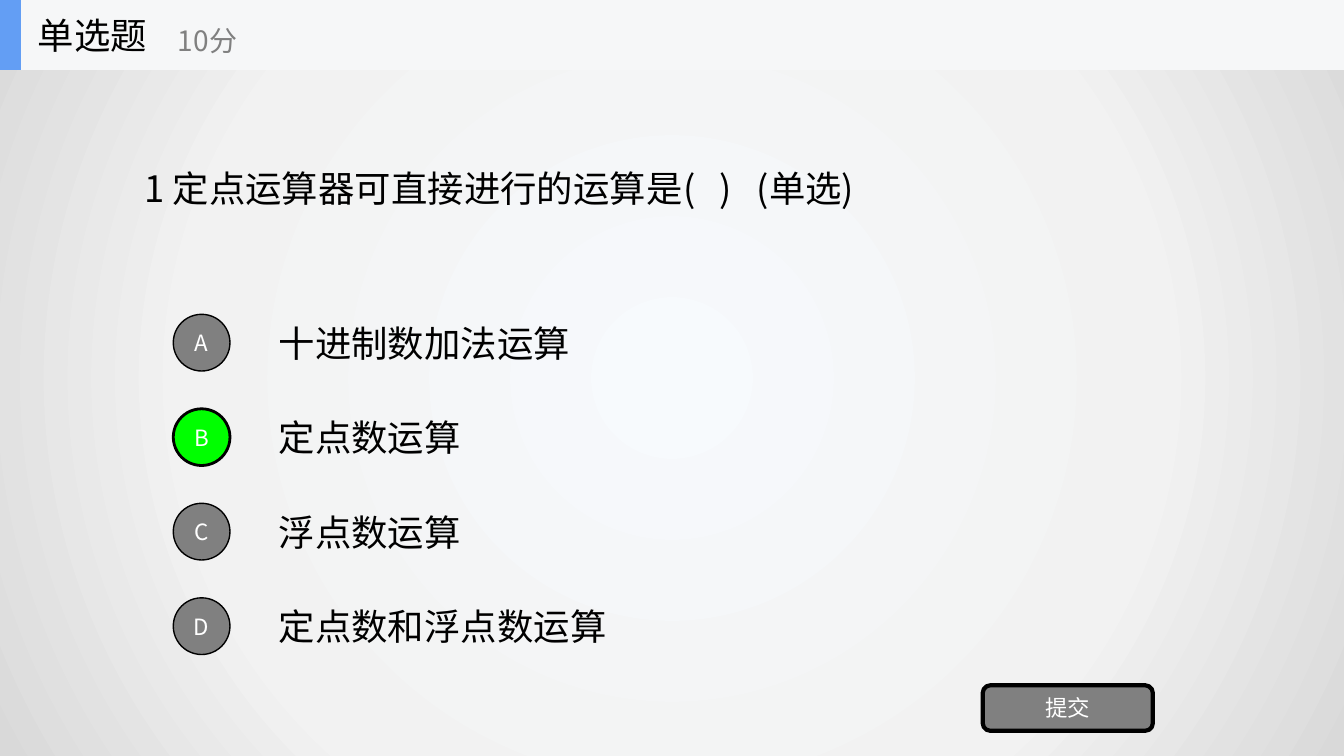
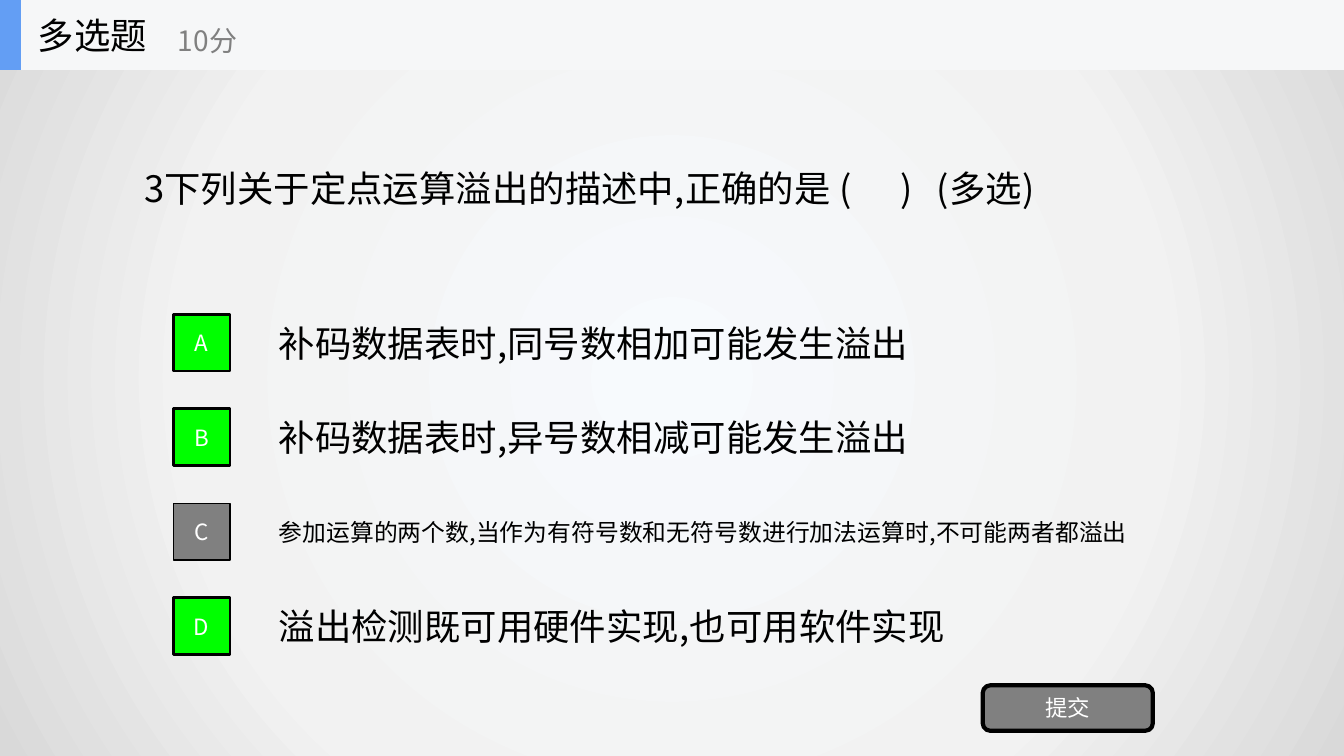
from dataclasses import dataclass
from typing import Any, Optional

import pptx
import pptx.dml.color
import pptx.enum.shapes
import pptx.enum.text
import pptx.oxml
import pptx.oxml.ns
import pptx.util

Pt = pptx.util.Pt
Shapes = pptx.enum.shapes.MSO_SHAPE
Align = pptx.enum.text.PP_ALIGN
AutoSize = pptx.enum.text.MSO_AUTO_SIZE


# Theme
@dataclass(frozen=True)
class Theme:
    font: str = "Noto Sans CJK SC"
    ink: str = "000000"
    muted: str = "808080"
    correct: str = "00FF00"
    on_fill: str = "FFFFFF"
    band: str = "F6F7F8"
    accent: str = "639EF4"
    backdrop: tuple = ((0, "F7FAFD"), (63, "F2F2F2"), (100, "D9D9D9"))
    body_size: float = 26
    small_size: float = 17
    points_size: float = 20
    label_size: float = 16


THEME = Theme()
SLIDE_WIDTH, SLIDE_HEIGHT = 960, 540
BAND_HEIGHT = 50
OPTION_CENTRE, OPTION_PITCH = 244.75, 67.5
MARKER_LEFT, MARKER_SIZE = 123.75, 40.5
ANSWER_LEFT = 192


# Content
@dataclass(frozen=True)
class Option:
    text: str
    width: float
    correct: bool = False
    size: float = THEME.body_size


@dataclass(frozen=True)
class Question:
    kind: str
    stem: str
    stem_width: float
    marker: Any
    options: tuple[Option, ...]


QUESTIONS = (
    Question("单选题", "1 定点运算器可直接进行的运算是(   )   (单选)", 542, Shapes.OVAL, (
        Option("十进制数加法运算", 230.5),
        Option("定点数运算", 152, True),
        Option("浮点数运算", 152),
        Option("定点数和浮点数运算", 256.5),
    )),
    Question("多选题", "3下列关于定点运算溢出的描述中,正确的是 (      )   (多选)", 675.5,
             Shapes.RECTANGLE, (
        Option("补码数据表时,同号数相加可能发生溢出", 470, True),
        Option("补码数据表时,异号数相减可能发生溢出", 470, True),
        Option("参加运算的两个数,当作为有符号数和无符号数进行加法运算时,不可能两者都溢出",
               623, size=THEME.small_size),
        Option("溢出检测既可用硬件实现,也可用软件实现", 496, True),
    )),
)


# Drawing helpers
def rgb(colour: str) -> pptx.dml.color.RGBColor:
    return pptx.dml.color.RGBColor.from_string(colour)


def write(shape: Any, text: str, *, size: float = THEME.body_size, colour: str = THEME.ink,
          align: Any = Align.LEFT, wrap: bool = True, grow: bool = False) -> None:
    frame = shape.text_frame
    frame.word_wrap = wrap
    frame.auto_size = AutoSize.SHAPE_TO_FIT_TEXT if grow else AutoSize.NONE
    frame.vertical_anchor = pptx.enum.text.MSO_ANCHOR.MIDDLE
    paragraph = frame.paragraphs[0]
    paragraph.alignment = align
    run = paragraph.add_run()
    run.text = text
    run.font.size = Pt(size)
    run.font.name = THEME.font
    run.font.color.rgb = rgb(colour)
    east_asian = run.font._element.makeelement(
        pptx.oxml.ns.qn("a:ea"), {"typeface": THEME.font})
    run.font._element.find(pptx.oxml.ns.qn("a:latin")).addnext(east_asian)


def add_label(shapes: Any, text: str, left: float, top: float, width: float, height: float,
              **style: Any) -> None:
    box = shapes.add_textbox(Pt(left), Pt(top), Pt(width), Pt(height))
    write(box, text, **style)


def add_block(shapes: Any, form: Any, left: float, top: float, width: float, height: float,
              fill: str, outline: float = 0, text: Optional[str] = None) -> None:
    block = shapes.add_shape(form, Pt(left), Pt(top), Pt(width), Pt(height))
    block.shadow.inherit = False
    block.fill.solid()
    block.fill.fore_color.rgb = rgb(fill)
    if outline:
        block.line.color.rgb = rgb(THEME.ink)
        block.line.width = Pt(outline)
    else:
        block.line.fill.background()
    if text:
        write(block, text, size=THEME.label_size, colour=THEME.on_fill, align=Align.CENTER)


# Shared parts
def set_backdrop(master: Any) -> None:
    master.background.fill.solid()
    stops = "".join(f'<a:gs pos="{position * 1000}"><a:srgbClr val="{colour}"/></a:gs>'
                    for position, colour in THEME.backdrop)
    gradient = pptx.oxml.parse_xml(
        f'<a:gradFill {pptx.oxml.ns.nsdecls("a")} rotWithShape="1"><a:gsLst>{stops}</a:gsLst>'
        '<a:path path="circle"><a:fillToRect l="50000" t="50000" r="50000" b="50000"/></a:path>'
        '</a:gradFill>')
    properties = master.element.find(".//" + pptx.oxml.ns.qn("p:bgPr"))
    properties.replace(properties[0], gradient)


def add_header(slide: Any, kind: str) -> None:
    header = slide.shapes.add_group_shape().shapes
    for width, colour in ((SLIDE_WIDTH, THEME.band), (15, THEME.accent)):
        add_block(header, Shapes.RECTANGLE, 0, 0, width, BAND_HEIGHT, colour)
    add_label(header, kind, 20, 0, 150, BAND_HEIGHT, wrap=False)
    add_label(header, "10分", 120, 9, 180, 40, size=THEME.points_size,
              colour=THEME.muted, wrap=False)


def add_option(slide: Any, index: int, option: Option, marker: Any) -> None:
    centre = OPTION_CENTRE + index * OPTION_PITCH
    height = 38.5 if option.size == THEME.body_size else 28
    add_label(slide.shapes, option.text, ANSWER_LEFT, centre - height / 2, option.width, height,
              size=option.size, grow=True)
    add_block(slide.shapes, marker, MARKER_LEFT, centre - MARKER_SIZE / 2,
              MARKER_SIZE, MARKER_SIZE, THEME.correct if option.correct else THEME.muted,
              outline=2 if option.correct else 1, text="ABCD"[index])


def add_question(deck: Any, question: Question) -> None:
    slide = deck.slides.add_slide(deck.slide_layouts[6])
    add_label(slide.shapes, question.stem, 96, 115, question.stem_width, 38.5, grow=True)
    for index, option in enumerate(question.options):
        add_option(slide, index, option, question.marker)
    # Submit button
    add_block(slide.shapes, Shapes.ROUNDED_RECTANGLE, 702, 489.5, 121.5, 32.5,
              THEME.muted, outline=3, text="提交")
    add_header(slide, question.kind)


def main() -> None:
    deck = pptx.Presentation()
    deck.slide_width, deck.slide_height = Pt(SLIDE_WIDTH), Pt(SLIDE_HEIGHT)
    set_backdrop(deck.slide_master)
    for question in QUESTIONS:
        add_question(deck, question)
    deck.save("out.pptx")


if __name__ == "__main__":
    main()
